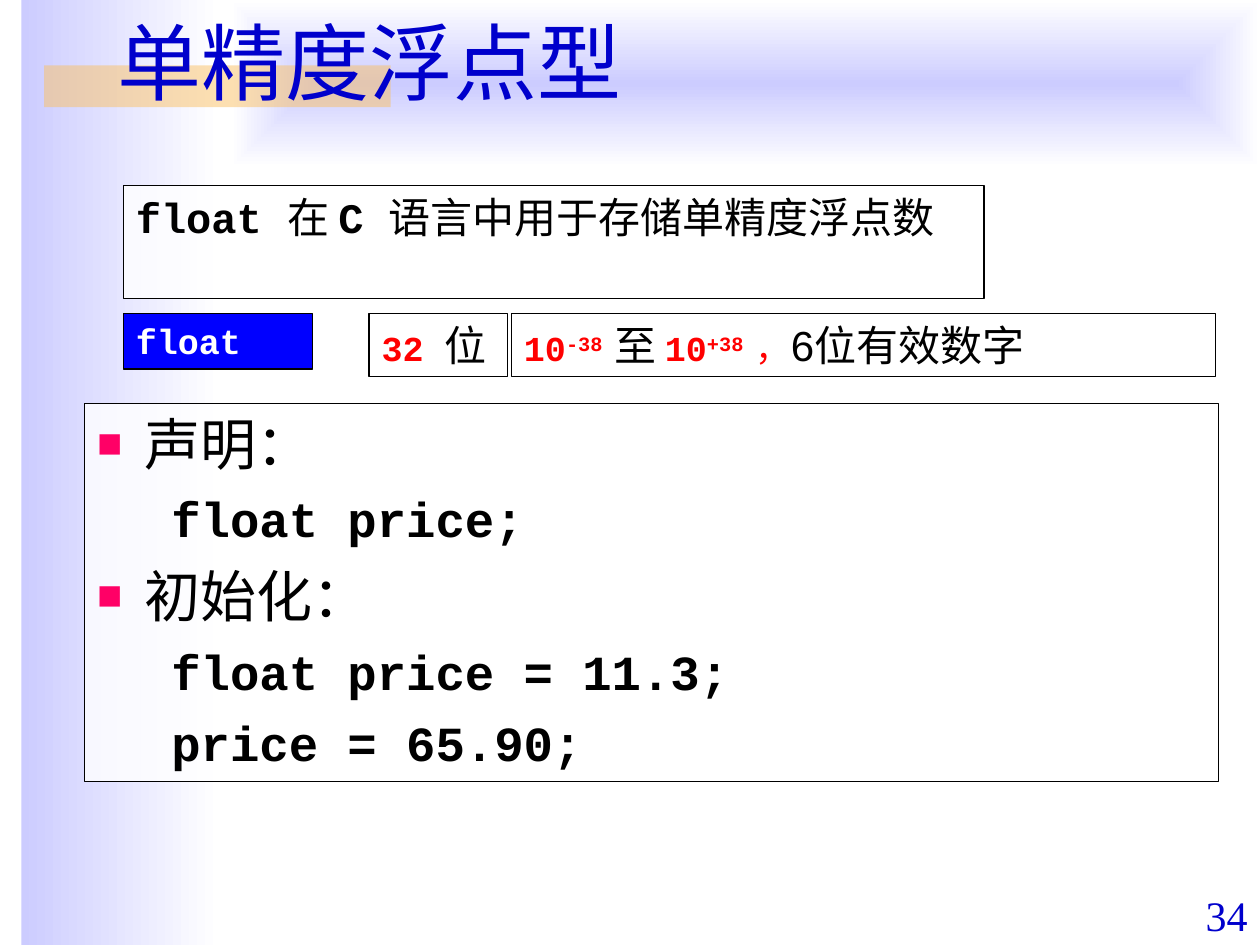
from dataclasses import dataclass

import pptx
import pptx.dml.color
import pptx.enum.shapes
import pptx.enum.text
import pptx.oxml
import pptx.oxml.ns
import pptx.util
from lxml import etree

COLUMNS, ROWS = 100, 75
CHINESE, CODE, SERIF, SANS = "Noto Sans CJK SC", "Courier New", "Times New Roman", "Arial"
BLACK, WHITE, RED, BLUE, TITLE_BLUE = "000000", "FFFFFF", "FF0000", "0000FF", "0000CC"
LAVENDER, ORANGE, PINK = "CCCCFF", "FAC164", "FF0066"
ALIGN = pptx.enum.text.PP_ALIGN
ANCHOR = pptx.enum.text.MSO_ANCHOR
qn = pptx.oxml.ns.qn

presentation = pptx.Presentation()
presentation.slide_width = pptx.util.Inches(10)
presentation.slide_height = pptx.util.Inches(7.5)
slide = presentation.slides.add_slide(presentation.slide_layouts[1])


@dataclass
class Area:
    """A rectangle in grid columns and rows."""
    left: float
    top: float
    width: float
    height: float

    def lengths(self) -> list[int]:
        column = presentation.slide_width / COLUMNS
        row = presentation.slide_height / ROWS
        return [round(self.left * column), round(self.top * row),
                round(self.width * column), round(self.height * row)]


@dataclass
class Run:
    text: str
    size: float
    font: str = CODE
    color: str = BLACK
    bold: bool = False
    raised: bool = False


@dataclass
class Box:
    area: Area
    runs: list[Run]
    fill: str = WHITE
    opacity: int = 100
    wrap: bool = True
    align: int = ALIGN.LEFT


def rgb(color: str):
    return pptx.dml.color.RGBColor.from_string(color)


def place(shape, area: Area) -> None:
    shape.left, shape.top, shape.width, shape.height = area.lengths()


def fill_solid(shape, color: str, opacity: int = 100) -> None:
    shape.fill.solid()
    shape.fill.fore_color.rgb = rgb(color)
    if opacity < 100:
        clr = shape.element.spPr.find(qn("a:solidFill")).find(qn("a:srgbClr"))
        etree.SubElement(clr, qn("a:alpha")).set("val", str(opacity * 1000))


def outline(shape) -> None:
    shape.line.color.rgb = rgb(BLACK)
    shape.line.width = pptx.util.Pt(0.75)


def add_rectangle(area: Area):
    shape = slide.shapes.add_shape(pptx.enum.shapes.MSO_SHAPE.RECTANGLE, *area.lengths())
    shape.shadow.inherit = False
    shape.line.fill.background()
    return shape


def add_gradient(area: Area, from_center: bool = False) -> None:
    shape = add_rectangle(area)
    shape.fill.gradient()
    shape.fill.gradient_angle = 0
    for stop, color in zip(shape.fill.gradient_stops, (LAVENDER, WHITE)):
        stop.color.rgb = rgb(color)
    if from_center:
        gradient = shape.element.spPr.find(qn("a:gradFill"))
        gradient.replace(gradient.find(qn("a:lin")), pptx.oxml.parse_xml(
            f'<a:path {pptx.oxml.ns.nsdecls("a")} path="rect">'
            '<a:fillToRect l="50000" t="50000" r="50000" b="50000"/></a:path>'))


def add_run(paragraph, item: Run) -> None:
    run = paragraph.add_run()
    run.text = item.text
    run.font.size = pptx.util.Pt(item.size)
    run.font.bold = item.bold
    run.font.color.rgb = rgb(item.color)
    run.font.name = item.font
    properties = run.font._element
    properties.find(qn("a:latin")).addnext(
        properties.makeelement(qn("a:ea"), {"typeface": CHINESE}))
    if item.raised:
        properties.set("baseline", "30000")


def add_box(box: Box) -> None:
    shape = add_rectangle(box.area)
    fill_solid(shape, box.fill, box.opacity)
    outline(shape)
    frame = shape.text_frame
    frame.word_wrap = box.wrap
    frame.vertical_anchor = ANCHOR.TOP
    paragraph = frame.paragraphs[0]
    paragraph.alignment = box.align
    for item in box.runs:
        add_run(paragraph, item)


def set_bullet(paragraph, indent: float, hanging: float, bullet: str = "") -> None:
    """Indent in inches; without a bullet the inherited one is switched off."""
    properties = paragraph._p.get_or_add_pPr()
    properties.set("marL", str(pptx.util.Inches(indent)))
    properties.set("indent", str(-pptx.util.Inches(hanging)))
    if bullet:
        color = etree.SubElement(properties, qn("a:buClr"))
        etree.SubElement(color, qn("a:srgbClr")).set("val", PINK)
        etree.SubElement(properties, qn("a:buSzPct")).set("val", "75000")
        etree.SubElement(properties, qn("a:buChar")).set("char", bullet)
    else:
        etree.SubElement(properties, qn("a:buNone"))


def fill_title(text: str) -> None:
    title = slide.shapes.title
    place(title, Area(8.3, -0.3, 88.1, 10.2))
    title.text_frame.vertical_anchor = ANCHOR.MIDDLE
    title.text_frame.auto_size = pptx.enum.text.MSO_AUTO_SIZE.NONE
    paragraph = title.text_frame.paragraphs[0]
    paragraph.alignment = ALIGN.LEFT
    add_run(paragraph, Run(text, 48, CHINESE, TITLE_BLUE))


def fill_body(lines: list[tuple[int, str]]) -> None:
    body = slide.placeholders[1]
    place(body, Area(6.7, 32, 90, 30))
    fill_solid(body, WHITE, 80)
    outline(body)
    frame = body.text_frame
    frame.auto_size = pptx.enum.text.MSO_AUTO_SIZE.NONE
    for index, (level, text) in enumerate(lines):
        paragraph = frame.add_paragraph() if index else frame.paragraphs[0]
        paragraph.level = level
        if level:
            set_bullet(paragraph, 0.9, 0.31)
            add_run(paragraph, Run(text, 28, bold=True))
        else:
            set_bullet(paragraph, 0.38, 0.38, "■")
            add_run(paragraph, Run(text, 32, SERIF))
        paragraph.space_before = pptx.util.Pt((7 if level else 8) if index else 0)


def add_page_number(number: str) -> None:
    frame = slide.shapes.add_textbox(*Area(90, 70.1, 10, 5).lengths()).text_frame
    frame.word_wrap = True
    frame.vertical_anchor = ANCHOR.BOTTOM
    frame.paragraphs[0].alignment = ALIGN.RIGHT
    add_run(frame.paragraphs[0], Run(number, 24, SERIF, TITLE_BLUE))


BOXES = [
    Box(Area(9.8, 14.7, 68.3, 9), [
        Run("float ", 24, bold=True), Run("在 ", 24), Run("C ", 24, bold=True),
        Run("语言中用于存储单精度浮点数", 24)], opacity=80, align=ALIGN.JUSTIFY),
    Box(Area(9.8, 24.9, 15, 4.4), [Run("float", 20, color=WHITE, bold=True)], fill=BLUE),
    Box(Area(29.3, 24.9, 11, 5), [
        Run("32 ", 20, color=RED, bold=True), Run("位", 24)], wrap=False),
    Box(Area(40.6, 24.9, 55.9, 5), [
        Run("10", 20, color=RED, bold=True),
        Run("-38 ", 20, color=RED, bold=True, raised=True),
        Run("至", 24),
        Run(" 10", 20, color=RED, bold=True),
        Run("+38 ", 20, color=RED, bold=True, raised=True),
        Run("，", 20, CHINESE, RED),
        Run("6", 24, SANS), Run("位有效数字", 24, CHINESE)]),
]

add_gradient(Area(1.7, 0, 15.8, ROWS))
add_gradient(Area(18.3, 0, 81.7, 13.3), from_center=True)
fill_solid(add_rectangle(Area(3.5, 5.2, 27.5, 3.3)), ORANGE, 50)
fill_title("单精度浮点型")
fill_body([(0, "声明："), (1, "float price;"), (0, "初始化："),
           (1, "float price = 11.3;"), (1, "price = 65.90;")])
for placeholder in list(slide.placeholders):
    placeholder.element.getparent().append(placeholder.element)  # in front of the bands
for box in BOXES:
    add_box(box)
add_page_number("34")
presentation.save("out.pptx")
